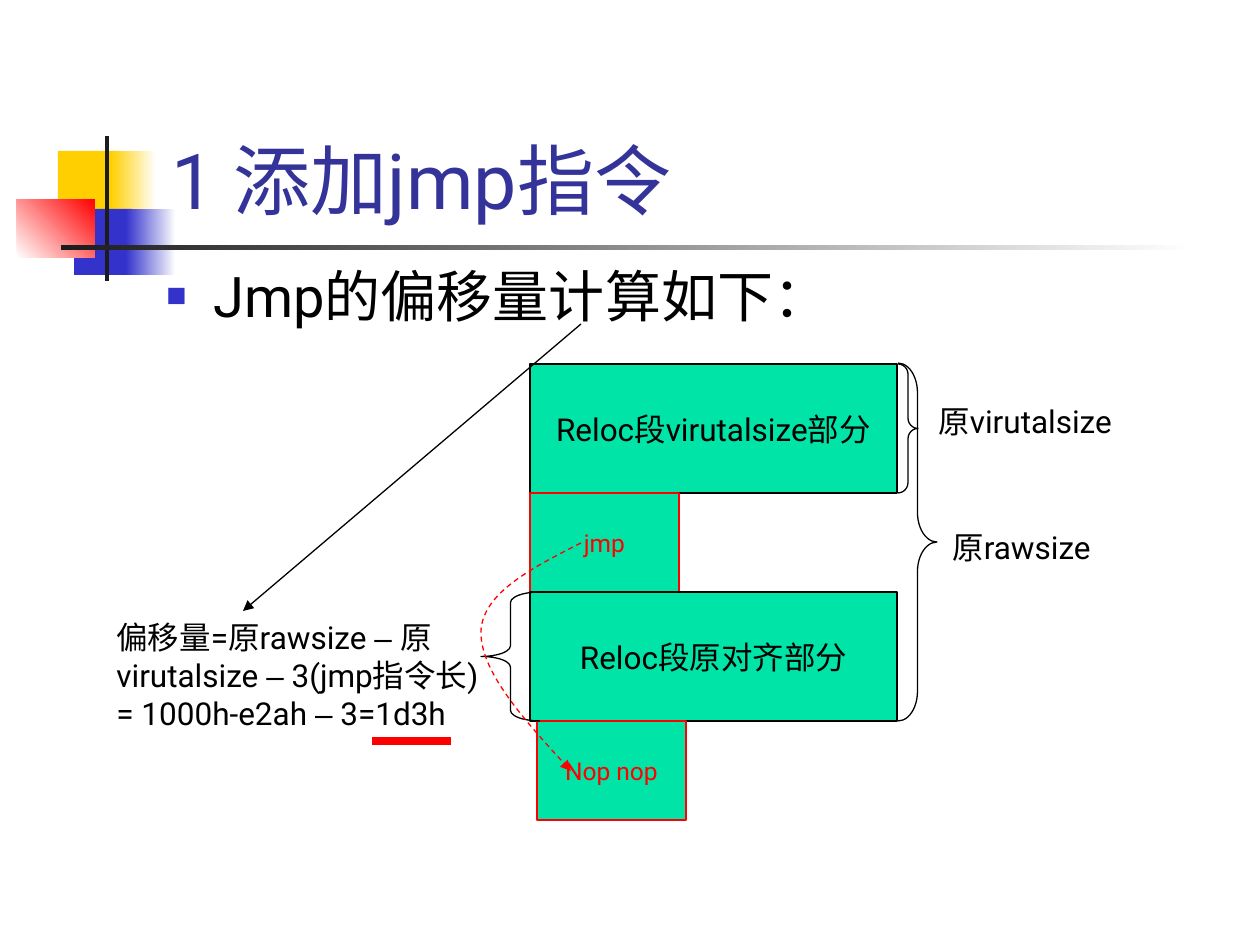
import pptx
import pptx.dml.color
import pptx.enum.dml
import pptx.enum.shapes
import pptx.enum.text
import pptx.oxml
import pptx.oxml.ns
import pptx.util
from lxml import etree

PX = 914400 / 126
SHAPE = pptx.enum.shapes.MSO_SHAPE
ANCHOR = pptx.enum.text.MSO_ANCHOR
ALIGN = pptx.enum.text.PP_ALIGN
BLACK, RED, WHITE, GREEN = "000000", "FF0000", "FFFFFF", "00E4A8"
YELLOW, BLUE, DARK = "FFCF01", "3333CC", "1C1C1C"

# left, top, width, height, colours (two make a gradient), gradient angle
ORNAMENTS = [
    (58, 151, 60, 66, [YELLOW], 0),
    (111, 151, 45, 66, [YELLOW, WHITE], 0),
    (74, 209, 58, 66, [BLUE], 0),
    (126, 209, 50, 66, [BLUE, WHITE], 0),
    (17, 199, 78, 59, [WHITE, RED], 45),
    (105, 136, 4, 145, [DARK], 0),
    (61, 245, 1134, 5, [DARK, WHITE], 0),
]

TITLE = "1 添加jmp指令"
BULLET = "Jmp的偏移量计算如下："

# text, left, width, height, line and text colours, size; stacked downwards
STACK_TOP = 364
SEGMENTS = [
    ("Reloc段virutalsize部分", 530, 367, 129, BLACK, 18),
    ("jmp", 530, 149, 99, RED, 14),
    ("Reloc段原对齐部分", 530, 367, 129, BLACK, 18),
    ("Nop nop", 537, 149, 99, RED, 14),
]

# preset, left, top, width, height, curl, as a share of the width
BRACES = [
    (SHAPE.LEFT_BRACE, 481, 592, 59, 129, 0.18),
    (SHAPE.RIGHT_BRACE, 898, 364, 20, 129, 0.52),
    (SHAPE.RIGHT_BRACE, 898, 363, 39, 358, 0.76),
]

OFFSET_RUNS = [
    ("偏移量=原rawsize ", "Roboto"), ("– ", "Arial"), ("原virutalsize ", "Roboto"),
    ("–", "Arial"), (" 3(jmp指令长) = 1000h-e2ah ", "Roboto"),
    ("–", "Arial"), (" 3=1d3h", "Roboto"),
]
SIZE_LABELS = [("原virutalsize", 926, 396, 213), ("原rawsize", 940, 522, 175)]

# start, then control, control, end for each curve
JUMP_CURVE = [(581, 543), (532, 568), (483, 593), (481, 631),
              (480, 670), (525, 721), (571, 771)]


def px(*lengths):
    return [round(length * PX) for length in lengths]


def rgb(colour):
    return pptx.dml.color.RGBColor.from_string(colour)


def style_font(font, size, colour, name="Roboto"):
    font.name, font.size = name, pptx.util.Pt(size)
    font.color.rgb = rgb(colour)


def style_line(shape, colour, width=0.75):
    shape.line.color.rgb = rgb(colour)
    shape.line.width = pptx.util.Pt(width)


def add_arrowhead(shape):
    etree.SubElement(shape.get_or_add_ln(), pptx.oxml.ns.qn("a:tailEnd"), type="triangle")


def add_preset(slide, preset, *box):
    shape = slide.shapes.add_shape(preset, *px(*box))
    shape.shadow.inherit = False
    return shape


def add_ornament(slide, left, top, width, height, colours, angle):
    shape = add_preset(slide, SHAPE.RECTANGLE, left, top, width, height)
    shape.line.fill.background()
    if len(colours) == 1:
        shape.fill.solid()
        shape.fill.fore_color.rgb = rgb(colours[0])
        return
    shape.fill.gradient()
    shape.fill.gradient_angle = angle
    for stop, colour, position in zip(shape.fill.gradient_stops, colours, (0, 1)):
        stop.color.rgb = rgb(colour)
        stop.position = position


def add_text(slide, box, runs, size, colour, wrap=True, anchor=ANCHOR.TOP):
    """Add a text box holding one paragraph of (text, font name) runs."""
    frame = slide.shapes.add_textbox(*px(*box)).text_frame
    frame.word_wrap, frame.vertical_anchor = wrap, anchor
    paragraph = frame.paragraphs[0]
    for text, name in runs:
        run = paragraph.add_run()
        run.text = text
        style_font(run.font, size, colour, name)
    return paragraph


def add_bullet(paragraph, indent):
    properties = paragraph._p.get_or_add_pPr()
    properties.set("marL", str(indent))
    properties.set("indent", str(-indent))
    colour = etree.SubElement(properties, pptx.oxml.ns.qn("a:buClr"))
    etree.SubElement(colour, pptx.oxml.ns.qn("a:srgbClr"), val=BLUE)
    etree.SubElement(properties, pptx.oxml.ns.qn("a:buSzPct"), val="60000")
    etree.SubElement(properties, pptx.oxml.ns.qn("a:buFont"), typeface="Arial")
    etree.SubElement(properties, pptx.oxml.ns.qn("a:buChar"), char="■")


def add_segment(slide, text, left, top, width, height, colour, size):
    shape = add_preset(slide, SHAPE.RECTANGLE, left, top, width, height)
    shape.fill.solid()
    shape.fill.fore_color.rgb = rgb(GREEN)
    style_line(shape, colour)
    frame = shape.text_frame
    frame.text = text
    frame.word_wrap, frame.vertical_anchor = False, ANCHOR.MIDDLE
    frame.paragraphs[0].alignment = ALIGN.CENTER
    style_font(frame.paragraphs[0].runs[0].font, size, colour)


def add_brace(slide, preset, left, top, width, height, curl):
    shape = add_preset(slide, preset, left, top, width, height)
    shape.adjustments[0] = curl
    shape.fill.background()
    style_line(shape, BLACK)


def add_curve(slide, points):
    """Draw cubic curves by regrouping a freeform's segments in threes."""
    builder = slide.shapes.build_freeform(*points[0], scale=PX)
    builder.add_line_segments(points[1:], close=False)
    shape = builder.convert_to_shape()
    shape.shadow.inherit = False
    segments = list(shape._element.iter(pptx.oxml.ns.qn("a:lnTo")))
    outline = segments[0].getparent()
    for first in range(0, len(segments), 3):
        curve = etree.SubElement(outline, pptx.oxml.ns.qn("a:cubicBezTo"))
        for segment in segments[first:first + 3]:
            curve.append(segment[0])
            outline.remove(segment)
    shape.fill.background()
    return shape


def add_straight(slide, ends, colour, width=0.75):
    line = slide.shapes.add_connector(pptx.enum.shapes.MSO_CONNECTOR.STRAIGHT, *px(*ends))
    style_line(line, colour, width)
    etree.SubElement(line._element.spPr, pptx.oxml.ns.qn("a:effectLst"))
    return line


def main():
    deck = pptx.Presentation()
    deck.slide_width, deck.slide_height = px(1260, 945)
    slide = deck.slides.add_slide(deck.slide_layouts[6])

    for ornament in ORNAMENTS:
        add_ornament(slide, *ornament)
    add_text(slide, (159, 29, 1074, 202), [(TITLE, "Roboto")], 44, "333399",
             anchor=ANCHOR.BOTTOM)
    heading = add_text(slide, (154, 255, 1071, 110), [(BULLET, "Roboto")], 32, BLACK)
    add_bullet(heading, px(47)[0])

    top = STACK_TOP
    for text, left, width, height, colour, size in SEGMENTS:
        add_segment(slide, text, left, top, width, height, colour, size)
        top += height
    for brace in BRACES:
        add_brace(slide, *brace)

    jump = add_curve(slide, JUMP_CURVE)
    style_line(jump, RED)
    jump.line.dash_style = pptx.enum.dml.MSO_LINE.DASH
    add_arrowhead(jump)

    add_text(slide, (104, 612, 407, 164), OFFSET_RUNS, 18, BLACK)
    for text, left, top, width in SIZE_LABELS:
        add_text(slide, (left, top, width, 50), [(text, "Roboto")], 18, BLACK, wrap=False)
    add_arrowhead(add_straight(slide, (581, 324, 243, 611), BLACK))
    add_straight(slide, (372, 741, 451, 741), RED, 4.5)

    deck.save("out.pptx")


if __name__ == "__main__":
    main()
